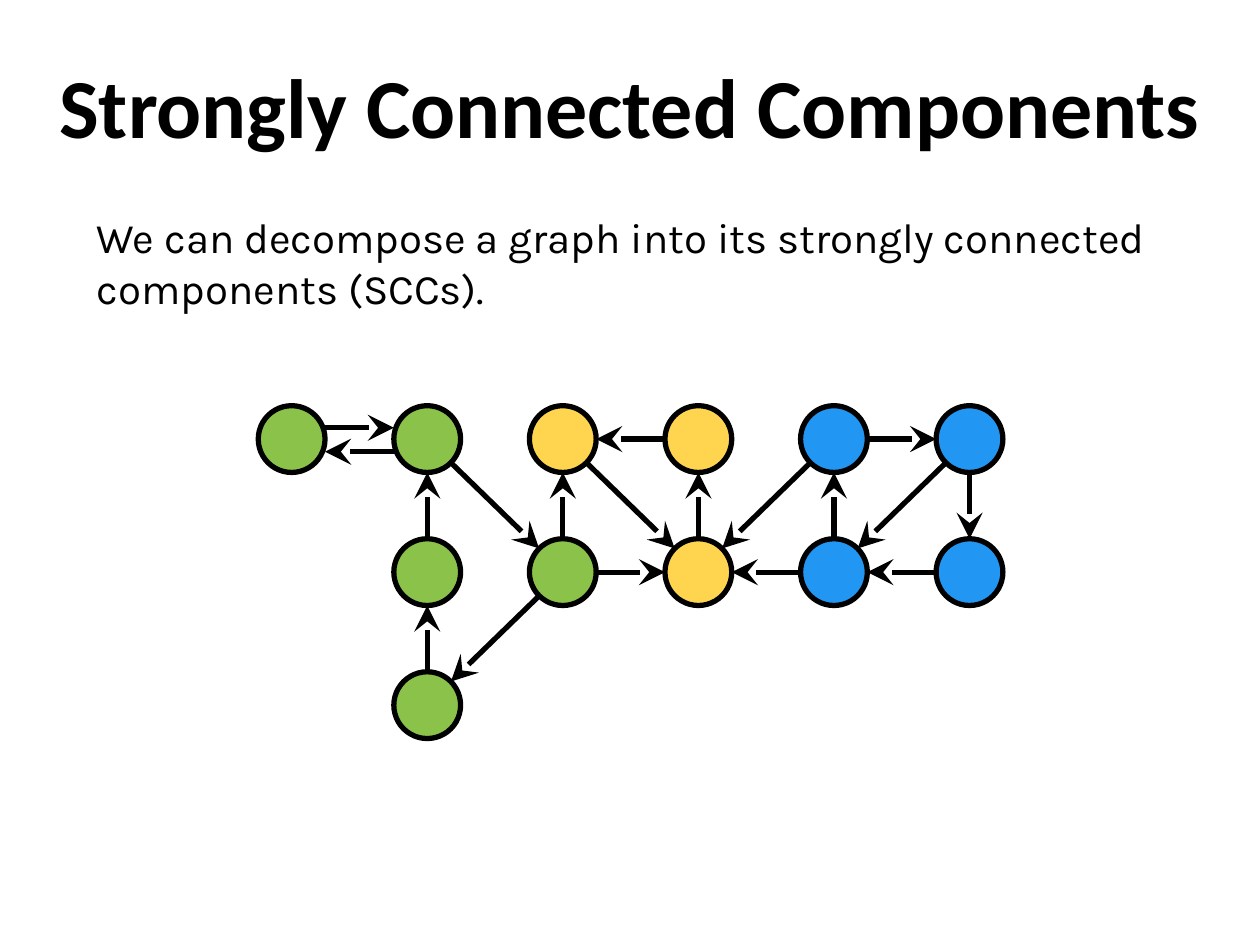
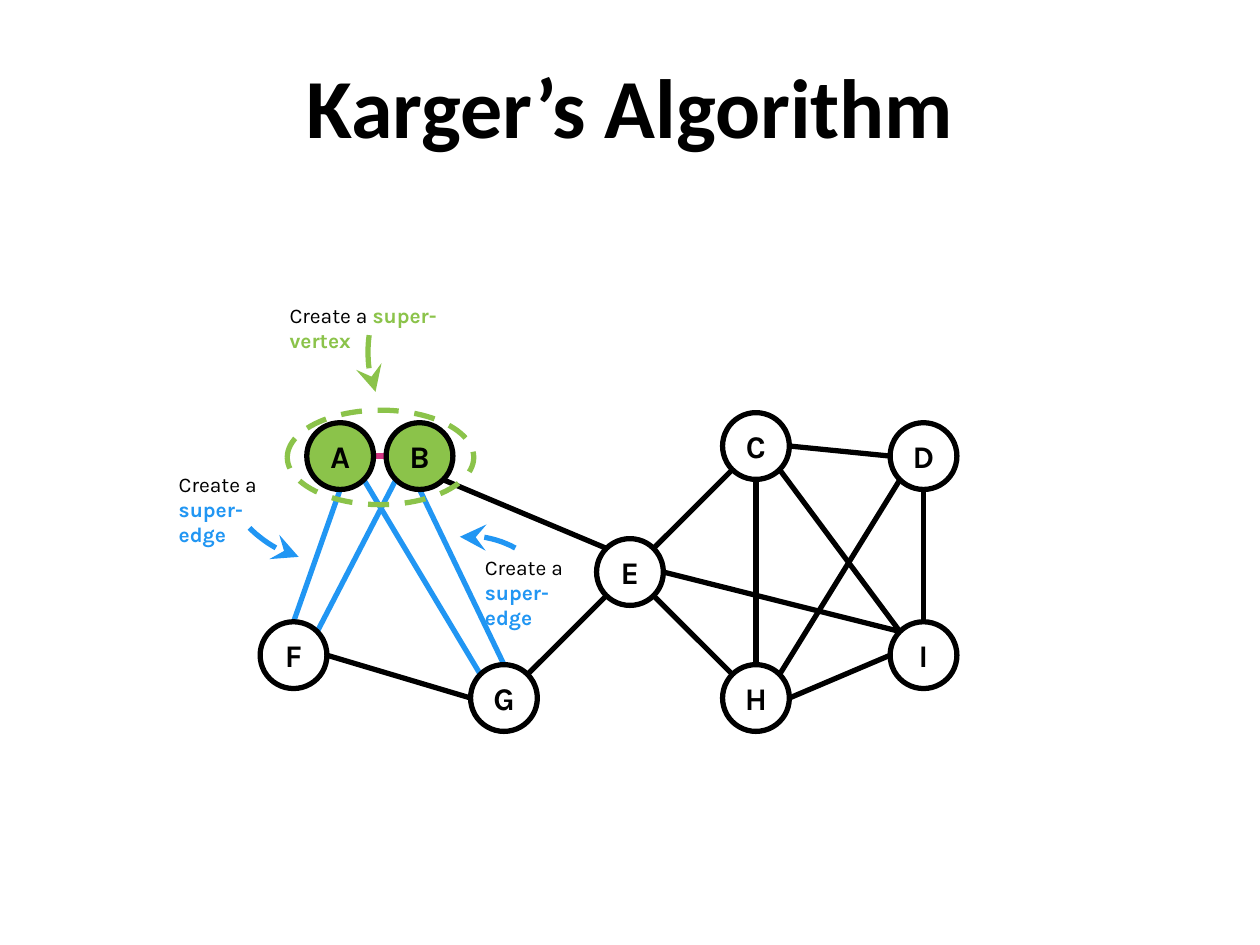
from lxml import etree
from pptx import Presentation
from pptx.dml.color import RGBColor
from pptx.enum import dml, shapes, text
from pptx.oxml import ns
from pptx.util import Inches, Pt

BLACK = RGBColor(0, 0, 0)
GREEN = RGBColor(0x8B, 0xC3, 0x4A)
GOLD = RGBColor(0xFF, 0xD5, 0x4F)
BLUE = RGBColor(0x21, 0x96, 0xF3)
PINK = RGBColor(0xD3, 0x36, 0x82)
HEAD, BODY = "Calibri", "Karla"
SIZE = 0.53
RAD = SIZE / 2
DIAG = 0.71
SIDES = {"t": (0, -1), "b": (0, 1), "l": (-1, 0), "r": (1, 0),
         "tl": (-1, -1), "tr": (1, -1), "bl": (-1, 1), "br": (1, 1)}


def words(slide, box, runs, size, face=BODY, bold=False, align=None):
    frame = slide.shapes.add_textbox(*map(Inches, box)).text_frame
    frame.word_wrap = True
    frame.margin_left = frame.margin_right = Inches(0.1)
    frame.margin_top = frame.margin_bottom = Inches(0.1)
    para = frame.paragraphs[0]
    para.alignment = align
    para.font.size, para.font.name = Pt(size), face
    for part, color in runs:
        run = para.add_run()
        run.text = part
        run.font.color.rgb = color
        run.font.bold = bold or color != BLACK


def title(slide, line):
    words(slide, (0, 0.33, 10, 1.25), [(line, BLACK)], 48, HEAD, True,
          text.PP_ALIGN.CENTER)


def stroke(shape, color, arrow=False):
    shape.line.color.rgb = color
    shape.line.width = Pt(3)
    if arrow:
        etree.SubElement(shape.line._get_or_add_ln(), ns.qn("a:tailEnd"),
                         type="stealth", w="lg", len="lg")


def edge(slide, start, end, color=BLACK, arrow=False):
    line = slide.shapes.add_connector(
        shapes.MSO_CONNECTOR.STRAIGHT, *map(Inches, (*start, *end)))
    stroke(line, color, arrow)
    etree.SubElement(line._element.spPr, ns.qn("a:effectLst"))


def rim(center, side):
    reach = RAD * (DIAG if all(side) else 1)
    return [mid + step * reach for mid, step in zip(center, side)]


def oval(slide, center, wide, high, color, fill=None):
    x, y = center
    shape = slide.shapes.add_shape(
        shapes.MSO_SHAPE.OVAL, Inches(x - wide / 2), Inches(y - high / 2),
        Inches(wide), Inches(high))
    shape.shadow.inherit = False
    stroke(shape, color)
    if fill is None:
        shape.fill.background()
    else:
        shape.fill.solid()
        shape.fill.fore_color.rgb = fill
    return shape


def node(slide, center, fill=None, name=""):
    shape = oval(slide, center, SIZE, SIZE, BLACK, fill)
    if name:
        frame = shape.text_frame
        frame.word_wrap = False
        frame.vertical_anchor = text.MSO_ANCHOR.MIDDLE
        para = frame.paragraphs[0]
        para.text = name
        para.alignment = text.PP_ALIGN.CENTER
        font = para.font
        font.size, font.name, font.bold = Pt(18), BODY, True
        font.color.rgb = BLACK


def curve(slide, knots, color):
    spots = []
    for step in range(13):
        t = step / 12
        mix = ((1 - t) ** 3, 3 * t * (1 - t) ** 2, 3 * t * t * (1 - t), t ** 3)
        spots.append([Inches(sum(m * k[axis] for m, k in zip(mix, knots)))
                      for axis in (0, 1)])
    pen = slide.shapes.build_freeform(*spots[0])
    pen.add_line_segments(spots[1:], close=False)
    shape = pen.convert_to_shape()
    shape.shadow.inherit = False
    shape.fill.background()
    stroke(shape, color, True)


def sign(value):
    return (value > 0) - (value < 0)


def parts(slide, left, top):
    def place(cell):
        return left + RAD + cell[0] * 1.076, top + RAD + cell[1] * 1.056

    groups = {GREEN: [(0, 0), (1, 0), (1, 1), (1, 2), (2, 1)],
              GOLD: [(2, 0), (3, 0), (3, 1)],
              BLUE: [(4, 0), (5, 0), (4, 1), (5, 1)]}
    links = [((3, 0), (2, 0)), ((3, 1), (3, 0)), ((2, 0), (3, 1)),
             ((5, 0), (5, 1)), ((5, 0), (4, 1)), ((4, 1), (4, 0)),
             ((5, 1), (4, 1)), ((4, 0), (5, 0)), ((2, 1), (1, 2)),
             ((1, 2), (1, 1)), ((1, 0), (2, 1)), ((4, 0), (3, 1)),
             ((1, 1), (1, 0)), ((2, 1), (3, 1)), ((4, 1), (3, 1)),
             ((2, 1), (2, 0))]
    for start, end in links:
        side = [sign(b - a) for a, b in zip(start, end)]
        edge(slide, rim(place(start), side),
             rim(place(end), [-s for s in side]), arrow=True)
    (near, y), (far, _) = place((0, 0)), place((1, 0))
    near, far = near + RAD, far - RAD
    edge(slide, (near, y - 0.09), (far, y - 0.09), arrow=True)
    edge(slide, (far + 0.15, y + 0.1), (near, y + 0.1), arrow=True)
    for fill, cells in groups.items():
        for cell in cells:
            node(slide, place(cell), fill)


def merge(slide, left, top):
    def place(spot):
        return left + spot[0], top + spot[1]

    spots = {"A": (1.7, 1.62), "B": (2.33, 1.62), "C": (5, 1.54),
             "D": (6.33, 1.62), "E": (4, 2.54), "F": (1.33, 3.2),
             "G": (3, 3.54), "H": (5, 3.54), "I": (6.33, 3.2)}
    links = {BLUE: "A br G tl,B b G t,F t A b,F tr B bl",
             PINK: "A r B l",
             BLACK: "F r G l,B br E tl,G tr E bl,E br H tl,E tr C bl,C r D l,"
                    "C b H t,H tr D bl,C br I tl,H r I l,D b I t,E r I tl"}
    notes = [
        ((1.2, 0.3), (1.8, 0.43), "super-vertex", GREEN,
         [(1.93, 0.66), (1.91, 0.8), (1.92, 0.98), (1.98, 1.11)]),
        ((2.75, 2.3), (1.08, 0.63), "super-edge", BLUE,
         [(3.09, 2.35), (2.95, 2.27), (2.77, 2.24), (2.65, 2.26)]),
        ((0.32, 1.64), (1.02, 0.63), "super-edge", BLUE,
         [(0.98, 2.19), (1.08, 2.29), (1.23, 2.39), (1.37, 2.42)])]
    for color, group in links.items():
        for link in group.split(","):
            a, out, b, into = link.split()
            edge(slide, rim(place(spots[a]), SIDES[out]),
                 rim(place(spots[b]), SIDES[into]), color)
    for name, spot in spots.items():
        node(slide, place(spot), GREEN if name in "AB" else None, name)
    ring = oval(slide, place((2.02, 1.63)), 1.48, 0.75, GREEN)
    ring.line.dash_style = dml.MSO_LINE.DASH
    for spot, size, term, color, knots in notes:
        words(slide, (*place(spot), *size),
              [("Create a ", BLACK), (term, color)], 12)
        curve(slide, [place(knot) for knot in knots], color)


deck = Presentation()
deck.slide_width, deck.slide_height = Inches(10), Inches(7.5)
blank = deck.slide_layouts[6]

first = deck.slides.add_slide(blank)
title(first, "Strongly Connected Components")
words(first, (0.67, 1.58, 8.67, 5.92),
      [("We can decompose a graph into its strongly connected "
        "components (SCCs).", BLACK)], 24)
parts(first, 2.05, 3.22)

second = deck.slides.add_slide(blank)
title(second, "Karger\u2019s Algorithm")
merge(second, 1, 2)

deck.save("out.pptx")
